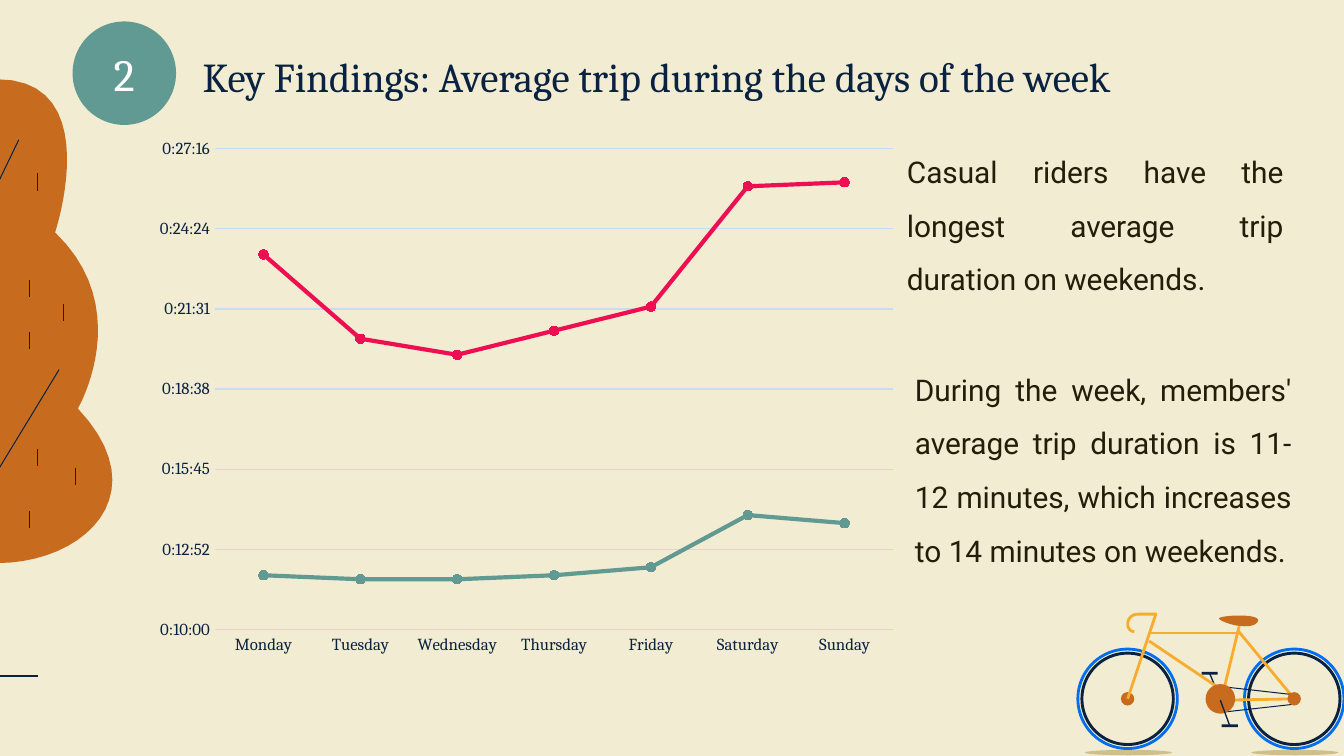
from lxml import etree
from pptx import Presentation
from pptx.chart.data import CategoryChartData
from pptx.dml.color import RGBColor
from pptx.enum.chart import XL_CHART_TYPE as ChartKind
from pptx.enum.chart import XL_MARKER_STYLE as Marker
from pptx.enum.chart import XL_TICK_MARK as Tick
from pptx.enum.shapes import MSO_CONNECTOR as Connector
from pptx.enum.shapes import MSO_SHAPE as Preset
from pptx.enum.text import MSO_ANCHOR as Anchor
from pptx.enum.text import PP_ALIGN as Align
from pptx.oxml.ns import qn
from pptx.util import Inches, Pt

CREAM, NAVY, TEAL, RUST = "F2ECD2", "092242", "609A92", "C76C1F"
RED, AMBER, BLUE, GRID = "ED0F51", "F7AC2D", "006EED", "C6DBF7"
SHADE, INK, WHITE = "CFBF8B", "231E0A", "FFFFFF"


def color(hex_code):
    return RGBColor.from_string(hex_code)


def apply(target, values):
    for name, value in values.items():
        setattr(target, name, value)


def flatten(start, *segments, steps=20):
    """Turn lines (one point) and cubic curves (three points) into points."""
    points = [start]
    for segment in segments:
        if len(segment) == 1:
            points.append(segment[0])
            continue
        anchors = (points[-1], *segment)
        for step in range(1, steps + 1):
            t = step / steps
            weights = ((1 - t) ** 3, 3 * t * (1 - t) ** 2, 3 * t * t * (1 - t), t ** 3)
            points.append(tuple(sum(w * a[axis] for w, a in zip(weights, anchors))
                                for axis in (0, 1)))
    return points


class SlideArtist:
    serif, sans = "Cambria", "Roboto"

    def __init__(self, slide):
        self.slide = slide
        self.shapes = slide.shapes

    def background(self, hue):
        self.slide.background.fill.solid()
        self.slide.background.fill.fore_color.rgb = color(hue)

    def stroke(self, line, hue, weight):
        line.color.rgb = color(hue)
        line.width = Pt(weight)

    def paint(self, shape, fill=None, line=None, weight=1.5):
        shape.shadow.inherit = False
        if fill:
            shape.fill.solid()
            shape.fill.fore_color.rgb = color(fill)
        else:
            shape.fill.background()
        if line:
            self.stroke(shape.line, line, weight)
        else:
            shape.line.fill.background()

    def preset(self, kind, left, top, width, height, **look):
        box = map(Inches, (left, top, width, height))
        self.paint(self.shapes.add_shape(kind, *box), **look)

    def disc(self, center, radius, **look):
        x, y = center
        self.preset(Preset.OVAL, x - radius, y - radius, 2 * radius, 2 * radius, **look)

    def outline(self, points, closed=False, **look):
        start, *rest = [(Inches(x), Inches(y)) for x, y in points]
        builder = self.shapes.build_freeform(*start)
        builder.add_line_segments(rest, close=closed)
        self.paint(builder.convert_to_shape(), **look)

    def line(self, start, end, hue=NAVY, weight=0.54):
        ends = map(Inches, (*start, *end))
        connector = self.shapes.add_connector(Connector.STRAIGHT, *ends)
        self.stroke(connector.line, hue, weight)
        etree.SubElement(connector._element.spPr, qn("a:effectLst"))

    def text(self, words, box, size, hue, font=serif, anchor=Anchor.TOP, **paragraph_format):
        frame = self.shapes.add_textbox(*map(Inches, box)).text_frame
        margins = ("margin_left", "margin_top", "margin_right", "margin_bottom")
        apply(frame, {"word_wrap": True, "vertical_anchor": anchor,
                      **dict.fromkeys(margins, Inches(0.1))})
        paragraph = frame.paragraphs[0]
        apply(paragraph, paragraph_format)
        run = paragraph.add_run()
        run.text = words
        self.type(run.font, size, hue, font)

    def type(self, font, size, hue, name=serif):
        apply(font, {"name": name, "size": Pt(size)})
        font.color.rgb = color(hue)

    def line_chart(self, box, categories, series, scale, plot):
        data = CategoryChartData(number_format="h:mm:ss")
        data.categories = categories
        for name, values, _ in series:
            data.add_series(name, values)
        chart = self.shapes.add_chart(
            ChartKind.LINE_MARKERS, *map(Inches, box), data).chart
        apply(chart, {"has_legend": False, "has_title": False})
        self.type(chart.font, 10, NAVY)
        chart.plots[0].vary_by_categories = False

        # Axes
        days, duration = chart.category_axis, chart.value_axis
        for axis in (days, duration):
            apply(axis, {"major_tick_mark": Tick.NONE, "minor_tick_mark": Tick.NONE})
            self.type(axis.tick_labels.font, 9, NAVY)
        self.stroke(days.format.line, GRID, 0.75)
        apply(duration, scale)
        apply(duration.tick_labels, {"number_format": "h:mm:ss",
                                     "number_format_is_linked": False})
        duration.format.line.fill.background()
        self.stroke(duration.major_gridlines.format.line, GRID, 0.75)

        # Series
        for trend, (_, _, hue) in zip(chart.plots[0].series, series):
            trend.smooth = False
            self.stroke(trend.format.line, hue, 2.25)
            apply(trend.marker, {"style": Marker.CIRCLE, "size": 5})
            trend.marker.format.fill.solid()
            trend.marker.format.fill.fore_color.rgb = color(hue)
            self.stroke(trend.marker.format.line, hue, 0.75)

        # Fixed inner plot area
        area = chart._chartSpace.chart.plotArea
        for old in area.findall(qn("c:layout")):
            area.remove(old)
        layout = etree.Element(qn("c:layout"))
        manual = etree.SubElement(layout, qn("c:manualLayout"))
        settings = {"layoutTarget": "inner", "xMode": "edge", "yMode": "edge",
                    **dict(zip("xywh", plot))}
        for tag, value in settings.items():
            etree.SubElement(manual, qn(f"c:{tag}")).set("val", str(value))
        area.insert(0, layout)


def draw_tree(art):
    crown = flatten(
        (-0.02, 0.59),
        [(-0.82, 0.59), (-0.45, 1.73), (-0.45, 1.73)],
        [(-1.04, 2.29), (-0.61, 3.04), (-0.61, 3.04)],
        [(-1.21, 3.68), (-0.66, 4.19), (-0.02, 4.19)],
        [(0.62, 4.19), (1.18, 3.68), (0.58, 3.04)],
        [(0.58, 3.04), (1.01, 2.3), (0.41, 1.73)],
        [(0.41, 1.73), (0.79, 0.59), (-0.02, 0.59)])
    art.outline(crown, closed=True, fill=RUST)
    art.line((0.14, 1.04), (-0.01, 1.35))
    art.line((0.44, 2.75), (-0.01, 3.49))
    for x, y in ((0.22, 2.08), (0.28, 1.29), (0.47, 2.26), (0.28, 3.34),
                 (0.22, 2.47), (0.56, 3.48), (0.22, 3.8)):
        art.line((x, y), (x, y + 0.13))
    art.line((-0.3, 5.03), (0.28, 5.03))


def draw_bicycle(art):
    front, rear, crank = (8.39, 5.2), (9.63, 5.2), (9.08, 5.2)
    for hub in (rear, front):
        art.preset(Preset.OVAL, hub[0] - 0.32, 5.58, 0.65, 0.04, fill=SHADE)
    for hub in (rear, front):
        art.disc(hub, 0.37, line=BLUE)
        art.disc(hub, 0.34, line=NAVY, weight=1.56)
    art.disc(front, 0.05, fill=RUST)

    # Frame and handlebar
    handlebar = flatten((8.44, 4.7), [(8.37, 4.7), (8.37, 4.57), (8.47, 4.57)],
                        [(8.6, 4.57)], [front])
    art.outline(handlebar, line=AMBER)
    art.line((9.09, 5.2), (9.22, 4.66), AMBER, 1.5)
    art.outline([(9.21, 4.69), rear, (9.09, 5.21)], line=AMBER)
    art.line((9.2, 4.71), (8.56, 4.71), AMBER, 1.5)

    # Pedals, chain and hubs
    art.line((9, 5.01), crank, weight=0.72)
    art.preset(Preset.RECTANGLE, 8.94, 5, 0.12, 0.02, fill=NAVY)
    art.line((8.55, 4.77), (9.1, 5.14), AMBER, 1.5)
    art.preset(Preset.RECTANGLE, 9.09, 5.39, 0.12, 0.02, fill=NAVY)
    art.outline([(9.1, 5.11), (9.63, 5.17), (9.63, 5.24), (9.09, 5.3)],
                line=NAVY, weight=0.54)
    art.disc(crank, 0.11, fill=RUST)
    art.disc(rear, 0.05, fill=RUST)
    art.line((9.08, 5.21), (9.15, 5.4), weight=0.72)

    saddle = flatten((9.22, 4.58), [(9.29, 4.58), (9.37, 4.59), (9.36, 4.62)],
                     [(9.35, 4.65), (9.31, 4.66), (9.26, 4.66)],
                     [(9.18, 4.66), (9.07, 4.62), (9.07, 4.6)],
                     [(9.08, 4.59), (9.15, 4.58), (9.22, 4.58)])
    art.outline(saddle, closed=True, fill=RUST)


def main():
    deck = Presentation()
    apply(deck, {"slide_width": Inches(10), "slide_height": Inches(5.625)})
    art = SlideArtist(deck.slides.add_slide(deck.slide_layouts[6]))
    art.background(CREAM)
    draw_tree(art)

    # Heading with its number
    art.text("Key Findings: Average trip during the days of the week",
             (1.41, 0.28, 7.86, 0.52), 22, NAVY)
    art.preset(Preset.OVAL, 0.54, 0.16, 0.77, 0.77, fill=TEAL)
    art.text("2", (0.54, 0.12, 0.77, 0.85), 24, WHITE,
             anchor=Anchor.MIDDLE, alignment=Align.CENTER)

    # Average trip duration, as fractions of a day
    ten_minutes, step = 10 / 1440, 0.002
    art.line_chart(
        (0.88, 1.01, 5.77, 4.14),
        ["Monday", "Tuesday", "Wednesday", "Thursday", "Friday", "Saturday", "Sunday"],
        [("Series 1", (0.0083, 0.0082, 0.0082, 0.0083, 0.0085, 0.0098, 0.0096), TEAL),
         ("Series 2", (0.0163, 0.0142, 0.0138, 0.0144, 0.015, 0.018, 0.0181), RED)],
        {"minimum_scale": ten_minutes, "maximum_scale": ten_minutes + 6 * step,
         "major_unit": step, "has_major_gridlines": True},
        (0.125, 0.023, 0.875, 0.865))

    # Findings
    findings = (
        ("Casual riders have the longest average trip duration on weekends.",
         (6.65, 0.91, 3, 1.36)),
        ("During the week, members' average trip duration is 11-12 minutes, "
         "which increases to 14 minutes on weekends.", (6.71, 2.53, 3, 1.72)))
    for finding, box in findings:
        art.text(finding, box, 16, INK, art.sans, alignment=Align.JUSTIFY,
                 line_spacing=1.5, space_after=Pt(16))

    draw_bicycle(art)
    deck.save("out.pptx")


if __name__ == "__main__":
    main()
